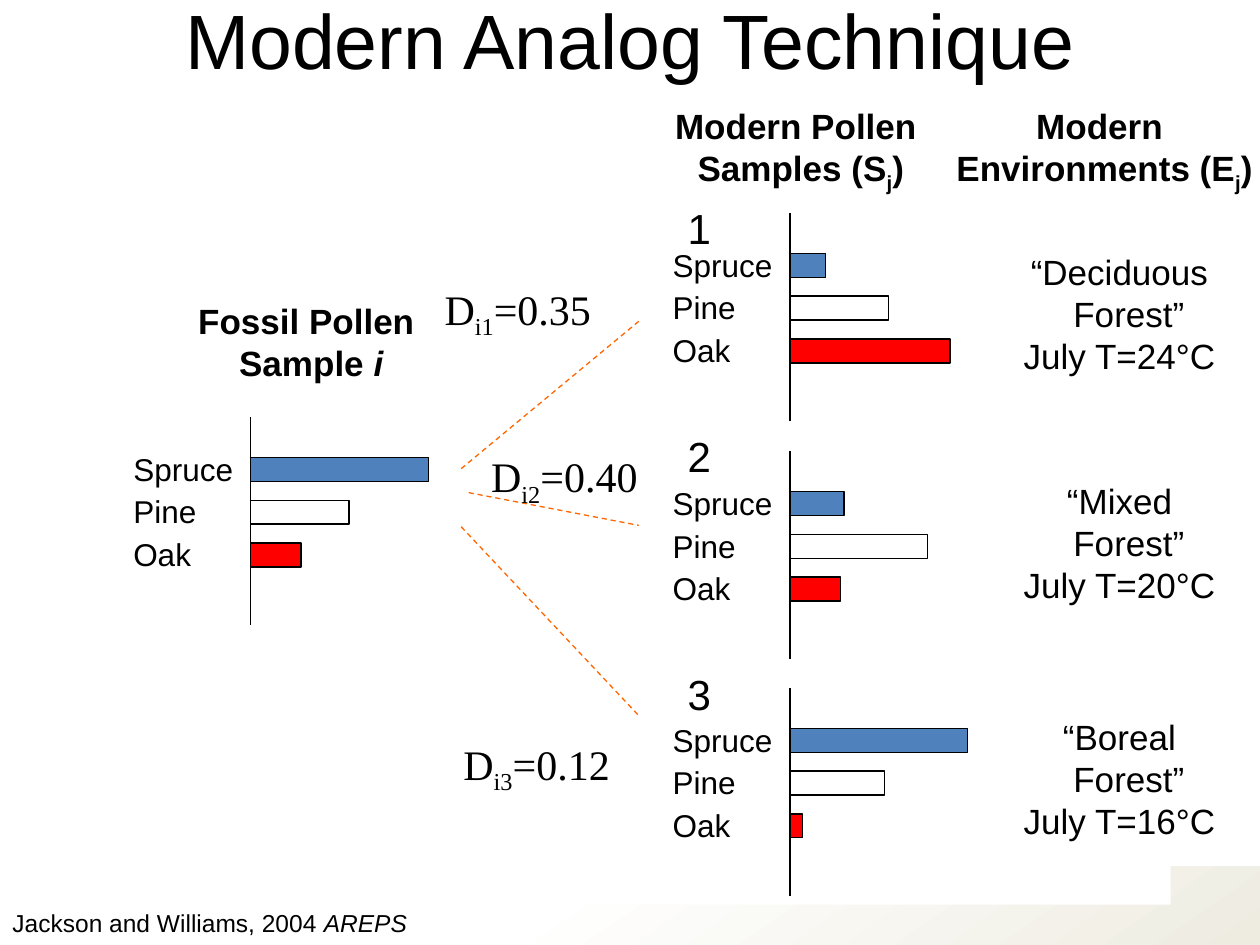
import pptx
import pptx.util
import pptx.dml.color
import pptx.enum.dml
import pptx.enum.shapes
import pptx.enum.text
import lxml.etree
from pptx.util import Inches

BLACK, WHITE, ORANGE = "000000", "FFFFFF", "FF6600"
TAXA = [("Spruce", 0.99, "4F81BD"), ("Pine", 0.7, WHITE), ("Oak", 0.66, "FF0000")]
ALIGN = pptx.enum.text.PP_ALIGN


def rgb(value):
    """Turn a hex string into a colour."""
    return pptx.dml.color.RGBColor.from_string(value)


def format_run(r, size, font="Arial", bold=False, style=""):
    """Format a run; style is '', 'sub' or 'italic'."""
    r.font.size = pptx.util.Pt(size)
    r.font.name = font
    r.font.color.rgb = rgb(BLACK)
    if bold:
        r.font.bold = True
    if style == "italic":
        r.font.italic = True
    if style == "sub":
        r.font._element.set("baseline", "-25000")


def add_text(shapes, box, lines, size, font="Arial", bold=False, align=ALIGN.LEFT, wrap=False):
    """Add a text box whose lines are lists of (text, style) runs."""
    s = shapes.add_textbox(*map(Inches, box))
    tf = s.text_frame
    tf.word_wrap = wrap
    tf.auto_size = pptx.enum.text.MSO_AUTO_SIZE.SHAPE_TO_FIT_TEXT
    for i, runs in enumerate(lines):
        p = tf.add_paragraph() if i else tf.paragraphs[0]
        p.alignment = align
        for text, style in runs:
            r = p.add_run()
            r.text = text
            format_run(r, size, font, bold, style)
    return s


def add_rect(shapes, box, fill, line=None):
    """Add a flat rectangle."""
    s = shapes.add_shape(pptx.enum.shapes.MSO_SHAPE.RECTANGLE, *map(Inches, box))
    s.shadow.inherit = False
    s.fill.solid()
    s.fill.fore_color.rgb = rgb(fill)
    if line:
        s.line.color.rgb = rgb(line)
        s.line.width = pptx.util.Pt(0.75)
    else:
        s.line.fill.background()
    return s


def add_line(shapes, start, end, color, dashed=False):
    """Add a thin straight line."""
    c = shapes.add_connector(pptx.enum.shapes.MSO_CONNECTOR.STRAIGHT,
                             *map(Inches, start + end))
    c.line.color.rgb = rgb(color)
    c.line.width = pptx.util.Pt(0.75)
    if dashed:
        c.line.dash_style = pptx.enum.dml.MSO_LINE.DASH
    lxml.etree.SubElement(c._element.spPr, pptx.oxml.ns.qn("a:effectLst"))


def add_background(shapes):
    """Add the gradient footer band and the white panel."""
    band = add_rect(shapes, (0, 6.88, 10, 0.62), WHITE)
    band.fill.gradient()
    band.fill.gradient_angle = 305
    for stop, (position, color) in zip(band.fill.gradient_stops,
                                       [(0.43, WHITE), (1, "EEECE1")]):
        stop.position = position
        stop.color.rgb = rgb(color)
    add_rect(shapes, (0.7, 0.95, 8.59, 6.23), WHITE)


def add_title(slide):
    """Place and format the title."""
    s = slide.shapes.title
    s.left, s.top, s.width, s.height = map(Inches, (0.75, -0.18, 8.5, 1.25))
    tf = s.text_frame
    tf.text = "Modern Analog Technique"
    tf.vertical_anchor = pptx.enum.text.MSO_ANCHOR.TOP
    tf.margin_top = Inches(0.12)
    p = tf.paragraphs[0]
    p.alignment = ALIGN.CENTER
    format_run(p.runs[0], 44)


def add_pollen_diagram(shapes, left, top, lengths):
    """Add a grouped axis with one labelled bar per taxon."""
    parts = shapes.add_group_shape().shapes
    axis = left + 1.03
    add_line(parts, (axis, top), (axis, top + 1.65), BLACK)
    for i, ((taxon, width, color), length) in enumerate(zip(TAXA, lengths)):
        y = top + 0.34 * i
        add_rect(parts, (axis, y + 0.32, length, 0.19), color, BLACK)
        add_text(parts, (left, y + 0.21, width, 0.4), [[(taxon, "")]], 18)


def add_heading(shapes, box, lines):
    """Add a bold centred heading."""
    add_text(shapes, box, lines, 20, bold=True, align=ALIGN.CENTER, wrap=True)


def add_environment(shapes, top, forest, july):
    """Add the forest type and July temperature of a modern sample."""
    lines = [[("“" + forest, "")], [("Forest”", "")], [(f"July T={july}°C", "")]]
    s = add_text(shapes, (8.02, top, 1.73, 1.1), lines, 20, align=ALIGN.CENTER)
    s.text_frame.paragraphs[1]._p.get_or_add_pPr().set("marL", str(Inches(0.15)))


def add_distance(shapes, box, index, value, start, end):
    """Add a dashed link and its dissimilarity value."""
    add_line(shapes, start, end, ORANGE, dashed=True)
    add_text(shapes, box + (1.4, 0.5), [[("D", ""), (f"i{index}", "sub"), (f"={value}", "")]],
             24, "Times New Roman")


def main():
    """Build the slide."""
    prs = pptx.Presentation()
    prs.slide_width, prs.slide_height = Inches(10), Inches(7.5)
    slide = prs.slides.add_slide(prs.slide_layouts[5])
    shapes = slide.shapes
    add_title(slide)
    add_background(shapes)

    add_pollen_diagram(shapes, 0.96, 3.31, (1.41, 0.78, 0.4))
    samples = [
        (1.69, (0.28, 0.78, 1.27), 1.56, 1.94, "Deciduous", 24),
        (3.58, (0.43, 1.09, 0.4), 3.37, 3.76, "Mixed", 20),
        (5.46, (1.41, 0.75, 0.1), 5.26, 5.63, "Boreal", 16),
    ]
    for i, (top, lengths, number_top, forest_top, forest, july) in enumerate(samples, 1):
        add_pollen_diagram(shapes, 5.24, top, lengths)
        add_text(shapes, (5.36, number_top, 0.83, 0.5), [[(str(i), "")]], 24, wrap=True)
        add_environment(shapes, forest_top, forest, july)

    add_distance(shapes, (3.43, 2.2), 1, "0.35", (3.66, 3.72), (5.07, 2.55))
    add_distance(shapes, (3.8, 3.53), 2, "0.40", (3.72, 3.91), (5.07, 4.17))
    add_distance(shapes, (3.58, 5.81), 3, "0.12", (3.66, 4.18), (5.07, 5.68))

    add_heading(shapes, (0.7, 2.33, 3.54, 0.77),
                [[("Fossil Pollen ", "")], [("Sample ", ""), ("i", "italic")]])
    add_heading(shapes, (4.36, 0.78, 3.99, 0.77),
                [[("Modern Pollen ", "")], [("Samples (S", ""), ("j", "sub"), (")", "")]])
    add_heading(shapes, (6.77, 0.78, 3.99, 0.77),
                [[("Modern ", "")], [("Environments (E", ""), ("j", "sub"), (")", "")]])
    add_text(shapes, (0, 7.16, 3.35, 0.34),
             [[("Jackson and Williams, 2004 ", ""), ("AREPS", "italic")]], 14)
    prs.save("out.pptx")


if __name__ == "__main__":
    main()
